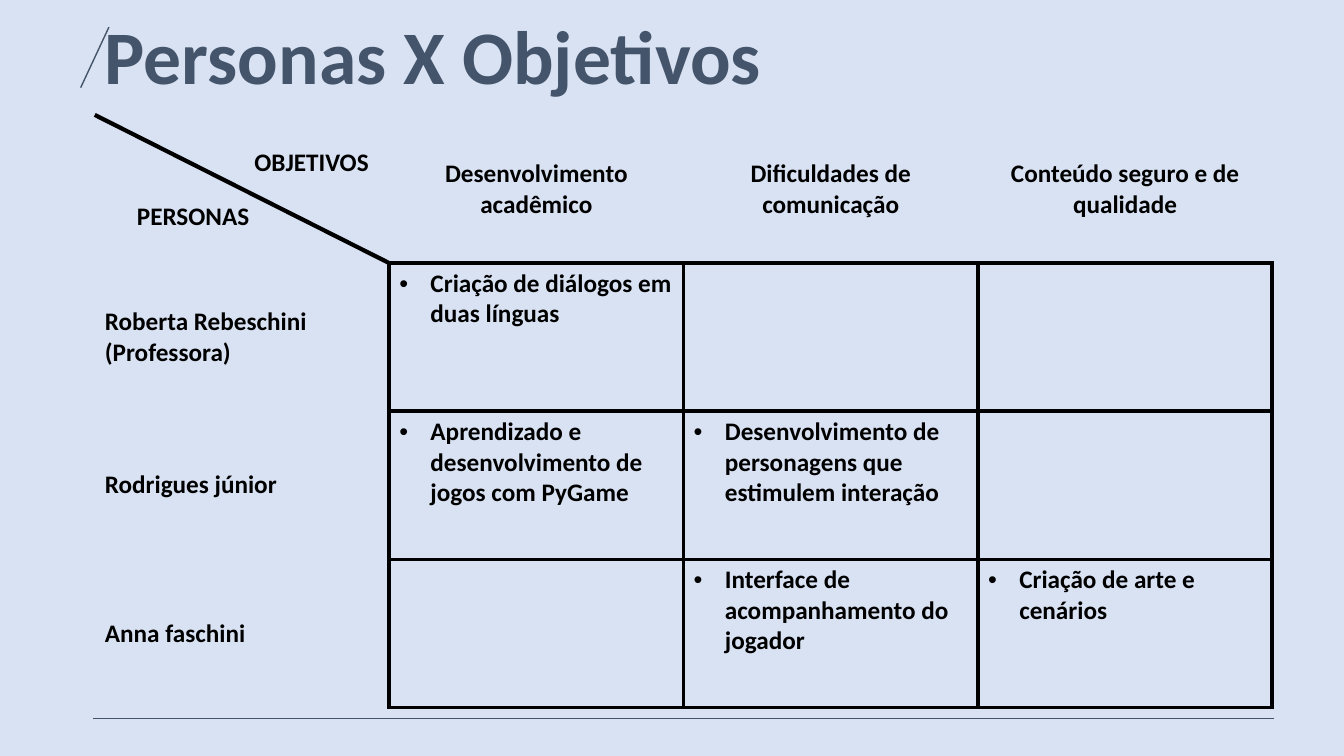
from lxml import etree
from pptx import Presentation
from pptx import util as u
from pptx.dml.color import RGBColor
from pptx.enum import shapes, text
from pptx.oxml.ns import qn

COLORS = {"wash": "4472C4", "slate": "44546A", "ink": "000000"}
WIDTH, HEIGHT = 13.33, 7.5
TABLE_LEFT, TABLE_TOP = 0.94, 1.14
COLUMN_WIDTH, ROW_HEIGHT = 2.92, 1.47
RULE_WIDTH = 3

GOALS = [
    "Desenvolvimento acadêmico",
    "Dificuldades de comunicação",
    "Conteúdo seguro e de qualidade",
]
PERSONAS = {
    "Roberta Rebeschini (Professora)": ["Criação de diálogos em duas línguas", "", ""],
    "Rodrigues júnior": [
        "Aprendizado e desenvolvimento de jogos com PyGame",
        "Desenvolvimento de personagens que estimulem interação",
        "",
    ],
    "Anna faschini": [
        "",
        "Interface de acompanhamento do jogador",
        "Criação de arte e cenários",
    ],
}


class SlideBuilder:
    """Holds the text style and the current slide."""

    font = "Calibri"
    size = 18

    def __init__(self, page):
        self.page = page

    def color(self, name):
        return RGBColor.from_string(COLORS[name])

    def set_words(self, frame, words, align=None, size=None, color="ink"):
        frame.text = words
        para = frame.paragraphs[0]
        para.alignment = align
        for span in para.runs:
            span.font.name = self.font
            span.font.size = u.Pt(size or self.size)
            span.font.bold = True
            span.font.color.rgb = self.color(color)
        return para

    def wash(self, color, opacity):
        box = self.page.shapes.add_shape(
            shapes.MSO_SHAPE.RECTANGLE, 0, 0, u.Inches(WIDTH), u.Inches(HEIGHT))
        box.shadow.inherit = False
        box.fill.solid()
        box.fill.fore_color.rgb = self.color(color)
        box.line.fill.background()
        tint = box._element.spPr.find(".//" + qn("a:srgbClr"))
        etree.SubElement(tint, qn("a:alpha"), val=str(opacity * 1000))
        # Send behind the title
        self.page.shapes._spTree.insert(2, box._element)

    def title(self, words, left, top, width, height):
        box = self.page.shapes.title
        box.left, box.top = u.Inches(left), u.Inches(top)
        box.width, box.height = u.Inches(width), u.Inches(height)
        frame = box.text_frame
        frame.vertical_anchor = text.MSO_ANCHOR.BOTTOM
        para = self.set_words(frame, words, text.PP_ALIGN.LEFT, 54, "slate")
        para.line_spacing = 0.9

    def line(self, start, end, color, width):
        rule = self.page.shapes.add_connector(
            shapes.MSO_CONNECTOR.STRAIGHT, *map(u.Inches, start + end))
        rule.line.color.rgb = self.color(color)
        rule.line.width = u.Pt(width)
        etree.SubElement(rule._element.spPr, qn("a:effectLst"))

    def label(self, words, left, top, width, height):
        box = self.page.shapes.add_textbox(*map(u.Inches, (left, top, width, height)))
        frame = box.text_frame
        frame.word_wrap = True
        frame.vertical_anchor = text.MSO_ANCHOR.MIDDLE
        self.set_words(frame, words, text.PP_ALIGN.CENTER)

    def borders(self, cell, sides):
        """Rule the listed sides (from L, R, T, B) and clear the others."""
        props = cell._tc.get_or_add_tcPr()
        for place, side in enumerate("LRTB"):
            edge = etree.Element(qn("a:ln" + side), w=str(u.Pt(RULE_WIDTH)))
            if side in sides:
                fill = etree.SubElement(edge, qn("a:solidFill"))
                etree.SubElement(fill, qn("a:srgbClr"), val=COLORS["ink"])
            else:
                etree.SubElement(edge, qn("a:noFill"))
            props.insert(place, edge)

    def bullet(self, para):
        props = para._p.get_or_add_pPr()
        indent = u.Inches(0.31)
        props.set("marL", str(indent))
        props.set("indent", str(-indent))
        etree.SubElement(props, qn("a:buFont"), typeface="Arial")
        etree.SubElement(props, qn("a:buChar"), char="•")

    def matrix(self, rows, left, top):
        count, span = len(rows), len(rows[0])
        grid = self.page.shapes.add_table(
            count, span, u.Inches(left), u.Inches(top),
            u.Inches(span * COLUMN_WIDTH), u.Inches(count * ROW_HEIGHT)).table
        grid.first_row = grid.horz_banding = False
        for column in grid.columns:
            column.width = u.Inches(COLUMN_WIDTH)
        for r, row in enumerate(rows):
            grid.rows[r].height = u.Inches(ROW_HEIGHT)
            for c, words in enumerate(row):
                cell = grid.cell(r, c)
                cell.fill.background()
                heading = r == 0 or c == 0
                if r and c:
                    sides = "LRTB"
                else:
                    sides = "B" if c else "R" if r else ""
                self.borders(cell, sides)
                if not words:
                    continue
                align = text.PP_ALIGN.LEFT if r else text.PP_ALIGN.CENTER
                para = self.set_words(cell.text_frame, words, align)
                if heading:
                    cell.vertical_anchor = text.MSO_ANCHOR.MIDDLE
                else:
                    self.bullet(para)


def main():
    deck = Presentation()
    deck.slide_width, deck.slide_height = u.Inches(WIDTH), u.Inches(HEIGHT)
    slide = SlideBuilder(deck.slides.add_slide(deck.slide_layouts[5]))

    # Background and title
    slide.wash("wash", 20)
    slide.title("Personas X Objetivos", 0.94, 0.08, 10.51, 0.97)
    slide.line((1.08, 0.27), (0.8, 0.87), "slate", 1)
    slide.line((12.64, 7.13), (0.92, 7.13), "slate", 1)

    # Personas against goals
    rows = [["", *GOALS]] + [[name, *cells] for name, cells in PERSONAS.items()]
    slide.matrix(rows, TABLE_LEFT, TABLE_TOP)

    # Split corner cell
    corner = (TABLE_LEFT + COLUMN_WIDTH, TABLE_TOP + ROW_HEIGHT)
    slide.line((TABLE_LEFT, TABLE_TOP), corner, "ink", RULE_WIDTH)
    slide.label("OBJETIVOS", 2.38, 1.4, 1.42, 0.4)
    slide.label("PERSONAS", 1.21, 1.94, 1.41, 0.4)

    deck.save("out.pptx")


if __name__ == "__main__":
    main()
